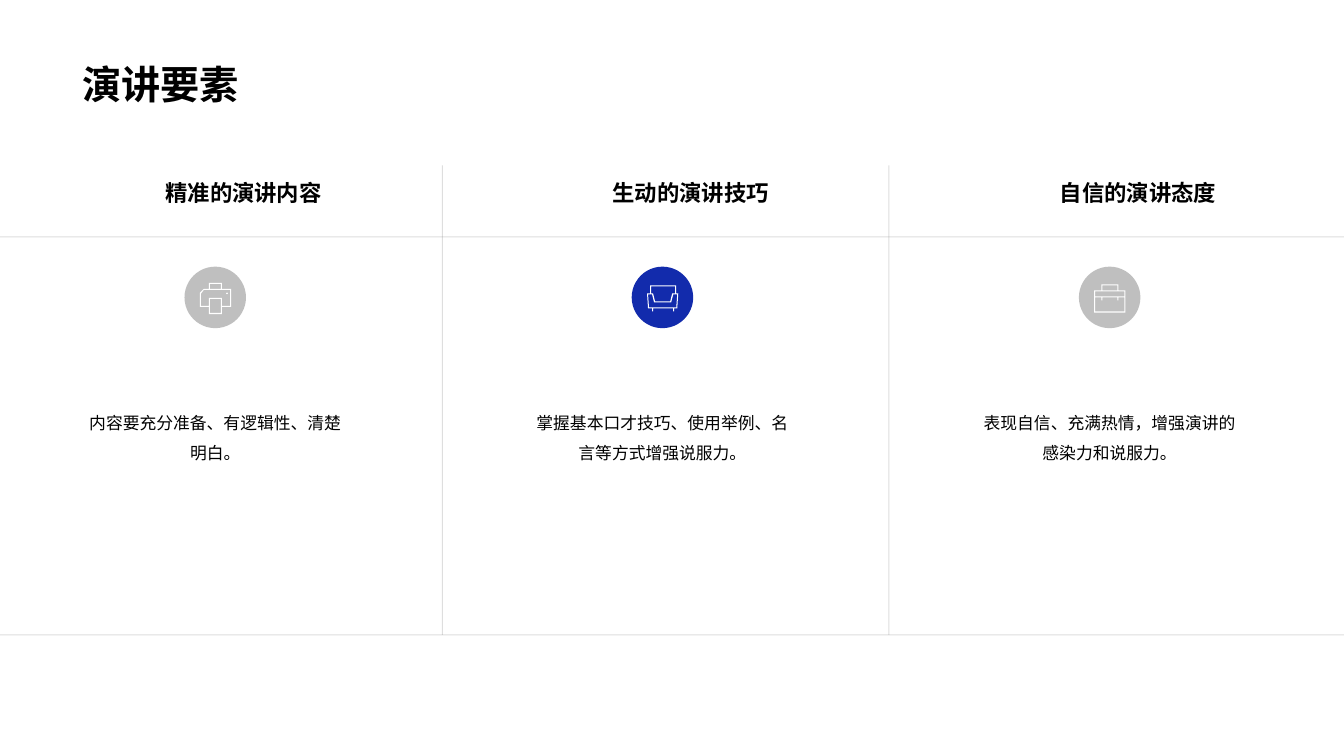
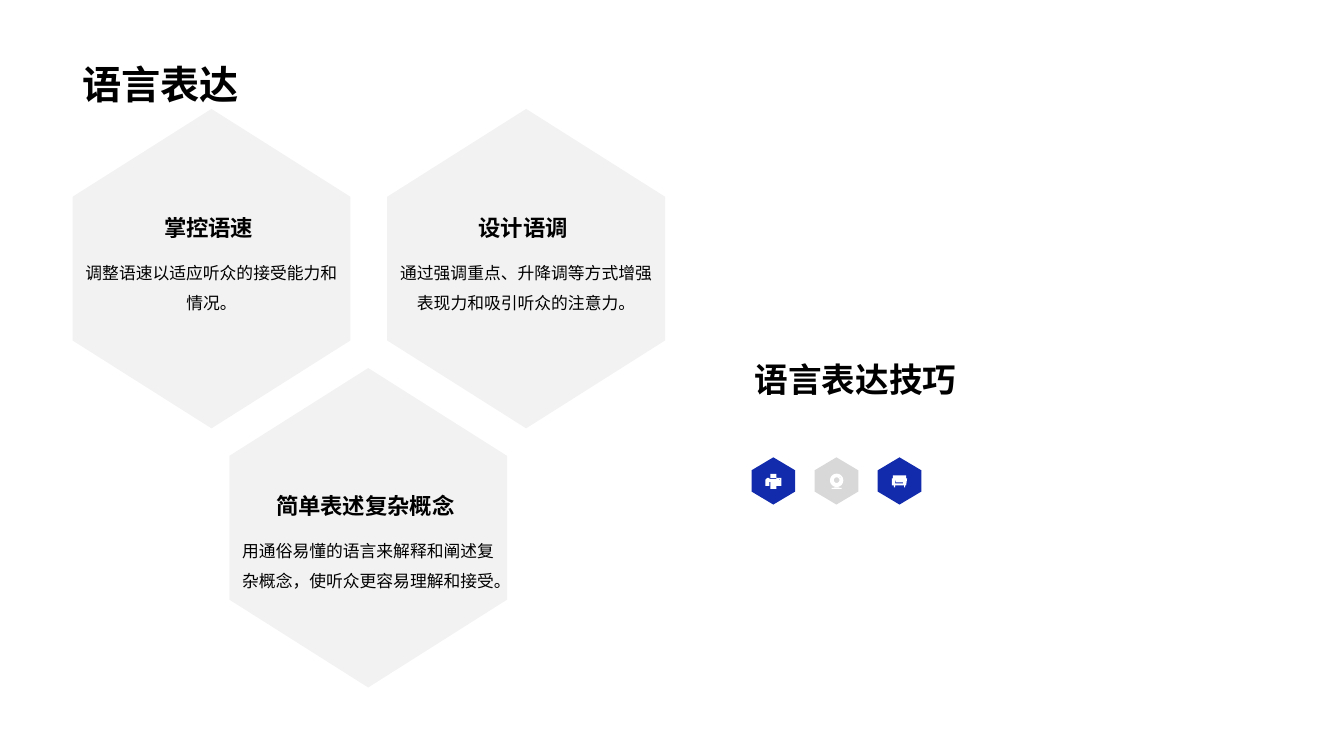
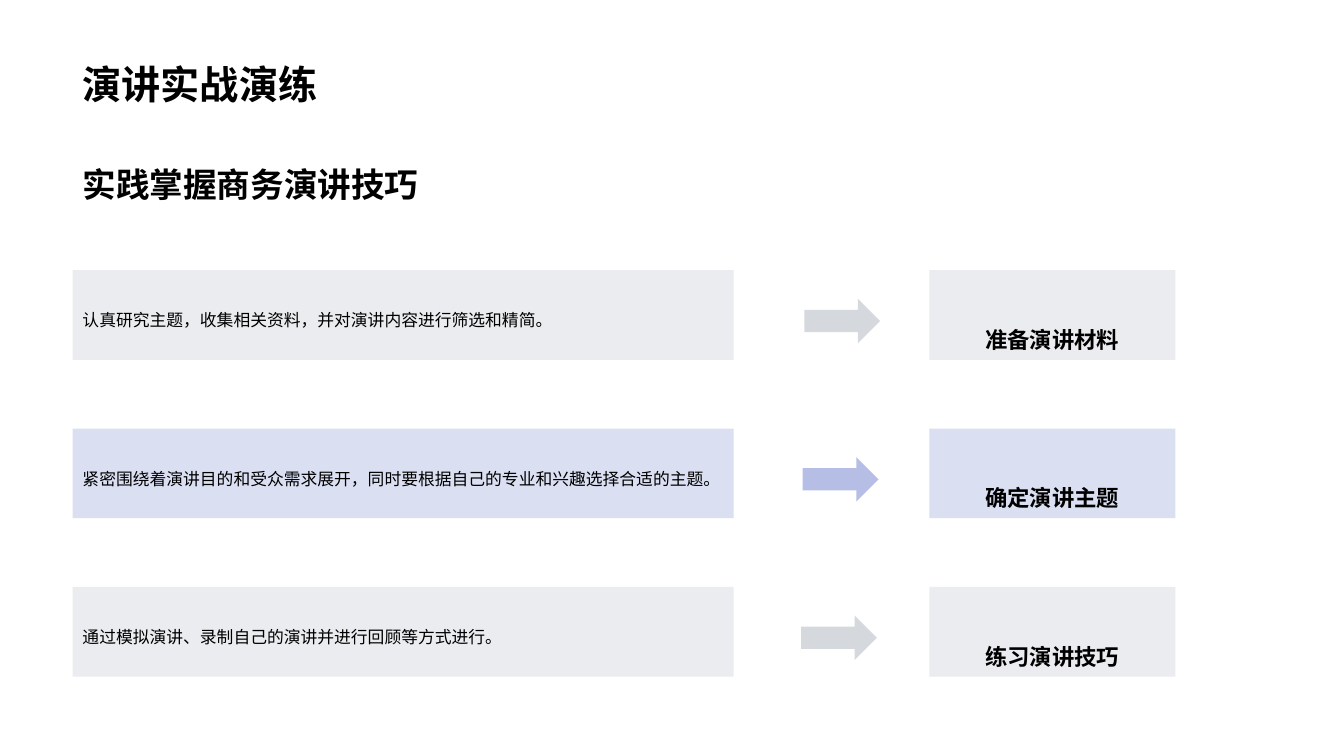
"""Build three slides on business speaking: elements, language and practice."""
import math

import lxml.etree
import pptx
import pptx.dml.color
import pptx.enum.shapes
import pptx.enum.text
import pptx.oxml.ns
import pptx.util

Cm = pptx.util.Cm
qn = pptx.oxml.ns.qn
SHAPES = pptx.enum.shapes.MSO_SHAPE
ANCHOR = pptx.enum.text.MSO_ANCHOR
ALIGN = pptx.enum.text.PP_ALIGN

BLUE, SLATE, BLACK, WHITE = "122BAC", "778495", "000000", "FFFFFF"
SILVER, PALE, RULE = "BFBFBF", "D8D8D8", "808080"
FONT = "Arial"
WIDTH, HEIGHT, MARGIN = 33.87, 19.05, 1.83
HEADING = {"size": 16, "bold": True}
SUBTITLE = {"size": 24, "bold": True, "anchor": ANCHOR.MIDDLE}
BODY = {"size": 12, "spacing": 1.5}
ICON_UNIT = Cm(0.01).cm * 2.54


def dot(x, y, radius):
    return [(x + radius * math.cos(math.tau * i / 32), y + radius * math.sin(math.tau * i / 32))
            for i in range(32)]


PRINTER = [
    [(22, 0), (22, 6), (31, 6), (31, 24), (22, 24), (22, 31), (9, 31), (9, 24),
     (0, 24), (0, 10), (4, 6), (9, 6), (9, 0)],
    [(21, 16), (10, 16), (10, 30), (21, 30)],
    [(30, 7), (4, 7), (1, 11), (1, 23), (9, 23), (9, 15), (22, 15), (22, 23), (30, 23)],
    dot(27, 10.5, 0.8),
    [(21, 1), (10, 1), (10, 6), (21, 6)],
]
SOFA = [
    [(29, 0), (29, 8), (31, 8), (30, 23), (27, 23), (27, 26), (26, 26), (26, 23),
     (6, 23), (6, 26), (5, 26), (5, 23), (1, 23), (0, 8), (3, 8), (3, 0)],
    [(5, 9), (1, 9), (2, 22), (29, 22), (30, 9), (26, 9), (24, 17), (7, 17)],
    [(28, 1), (4, 1), (4, 8), (6, 8), (8, 16), (23, 16), (25, 8), (28, 8)],
]
BRIEFCASE = [
    [(24, 0), (24, 6), (31, 6), (31, 28), (0, 28), (0, 6), (7, 6), (7, 0)],
    [(7, 13), (1, 13), (1, 27), (30, 27), (30, 13), (24, 13), (24, 16), (23, 16),
     (23, 13), (8, 13), (8, 16), (7, 16)],
    [(30, 7), (1, 7), (1, 12), (30, 12)],
    [(23, 1), (8, 1), (8, 6), (23, 6)],
]
SMALL_PRINTER = [
    [(11, 8), (11, 15), (5, 15), (5, 8)],
    [(4, 4), (4, 5), (11, 5), (11, 4), (16, 4), (16, 12), (11, 12), (11, 8),
     (4, 8), (4, 12), (0, 12), (0, 6), (2, 4)],
    dot(14, 5.5, 0.5),
    [(11, 0), (11, 4), (5, 4), (5, 0)],
]
SMALL_CAMERA = [
    dot(7, 6.5, 6.6),
    dot(7, 6.3, 2.8),
    dot(10.4, 3.4, 0.5),
    [(5, 13.5), (9, 13.5), (10, 14), (12, 14), (12, 15), (2, 15), (2, 14), (4, 14)],
]
SMALL_SOFA = [
    [(3, 3), (3, 8), (11, 8), (12, 3), (15, 3), (14, 10), (13, 10), (13, 12),
     (12, 12), (12, 10), (3, 10), (3, 12), (2, 12), (2, 10), (0, 10), (0, 3)],
    [(14, 0), (14, 3), (12, 3), (11, 7), (4, 7), (3, 3), (1, 3), (1, 0)],
]


def paint(fill, color, owner=None, opacity=100):
    fill.solid()
    fill.fore_color.rgb = pptx.dml.color.RGBColor.from_string(color)
    if opacity < 100:
        for tint in owner.element.spPr.findall(".//" + qn("a:srgbClr")):
            lxml.etree.SubElement(tint, qn("a:alpha"), val=str(opacity * 1000))


def finish(shape, color, opacity=100):
    shape.shadow.inherit = False
    paint(shape.fill, color, shape, opacity)
    shape.line.fill.background()
    return shape


def write(shape, text, size=12, bold=False, align=ALIGN.LEFT, anchor=ANCHOR.TOP,
          spacing=1.0, wrap=True, insets=None):
    frame = shape.text_frame
    frame.word_wrap = wrap
    frame.vertical_anchor = anchor
    if insets:
        frame.margin_top, frame.margin_bottom = (Cm(inset) for inset in insets)
    paragraph = frame.paragraphs[0]
    paragraph.alignment = align
    paragraph.line_spacing = spacing
    run = paragraph.add_run()
    run.text = text
    run.font.name, run.font.size, run.font.bold = FONT, pptx.util.Pt(size), bold
    paint(run.font.fill, BLACK)


def add_text(slide, box, text, **style):
    write(slide.shapes.add_textbox(*map(Cm, box)), text, **style)


def add_block(slide, preset, box, color, opacity=100):
    return finish(slide.shapes.add_shape(preset, *map(Cm, box)), color, opacity)


def add_rule(slide, *ends):
    rule = slide.shapes.add_connector(pptx.enum.shapes.MSO_CONNECTOR.STRAIGHT, *map(Cm, ends))
    rule.line.width = pptx.util.Pt(0.75)
    paint(rule.line.fill, RULE, rule, 25)
    lxml.etree.SubElement(rule.element.spPr, qn("a:effectLst"))


def add_outline(slide, contours, color, opacity=100):
    placed = [[(Cm(x), Cm(y)) for x, y in contour] for contour in contours]
    builder = slide.shapes.build_freeform(*placed[0][0], scale=1.0)
    builder.add_line_segments(placed[0][1:], close=True)
    for contour in placed[1:]:
        builder.move_to(*contour[0])
        builder.add_line_segments(contour[1:], close=True)
    finish(builder.convert_to_shape(), color, opacity)


def add_icon(slide, contours, center_x, center_y):
    points = [point for contour in contours for point in contour]
    left = center_x - max(x for x, y in points) * ICON_UNIT / 2
    top = center_y - max(y for x, y in points) * ICON_UNIT / 2
    add_outline(slide, [[(left + x * ICON_UNIT, top + y * ICON_UNIT) for x, y in contour]
                        for contour in contours], WHITE)


def add_hexagon(slide, x, y, width, height, color, opacity=100):
    half, tip, shoulder = width / 2, height / 2, height * 0.45 / 2
    add_outline(slide, [[(x, y - tip), (x + half, y - shoulder), (x + half, y + shoulder),
                         (x, y + tip), (x - half, y + shoulder), (x - half, y - shoulder)]],
                color, opacity)


def add_titled_slide(deck, title):
    slide = deck.slides.add_slide(deck.slide_layouts[6])
    add_text(slide, (MARGIN, 0, 30.18, 2.84), title, size=28, bold=True,
             anchor=ANCHOR.BOTTOM, spacing=0.9)
    return slide


def build_elements(deck):
    slide = add_titled_slide(deck, "演讲要素")
    for y in (5.97, 16):
        add_rule(slide, 0, y, WIDTH, y)
    for x in (11.15, 22.4):
        add_rule(slide, x, 4.17, x, 16)
    columns = [
        ("精准的演讲内容", "内容要充分准备、有逻辑性、清楚明白。", SILVER, PRINTER),
        ("生动的演讲技巧", "掌握基本口才技巧、使用举例、名言等方式增强说服力。", BLUE, SOFA),
        ("自信的演讲态度", "表现自信、充满热情，增强演讲的感染力和说服力。", SILVER, BRIEFCASE),
    ]
    for index, (heading, detail, color, icon) in enumerate(columns):
        shift = index * 11.27
        add_text(slide, (3.92 + shift, 4.38, 4.5, 0.94), heading, anchor=ANCHOR.MIDDLE,
                 wrap=False, **HEADING)
        add_block(slide, SHAPES.OVAL, (4.65 + shift, 6.72, 1.55, 1.55), color)
        add_icon(slide, icon, 5.43 + shift, 7.52)
        add_text(slide, (1.87 + shift, 10.02, 7.11, 1.7), detail, align=ALIGN.CENTER, **BODY)


def build_language(deck):
    slide = add_titled_slide(deck, "语言表达")
    width = 7
    cells = [
        (5.33, 6.77, 5.26, "掌控语速", "调整语速以适应听众的接受能力和情况。"),
        (13.26, 6.77, 5.26, "设计语调", "通过强调重点、升降调等方式增强表现力和吸引听众的注意力。"),
        (9.28, 13.3, 12.27, "简单表述复杂概念",
         "用通俗易懂的语言来解释和阐述复杂概念，使听众更容易理解和接受。"),
    ]
    for x, y, top, heading, detail in cells:
        left = x - width / 2
        add_hexagon(slide, x, y, width, 8.05, BLACK, 5)
        add_text(slide, (left - 0.07, top, width, 0.94), heading, align=ALIGN.CENTER, **HEADING)
        add_text(slide, (left, top + 0.98, width, 1.7), detail, align=ALIGN.CENTER, **BODY)
    add_text(slide, (18.77, 8.9, 11.94, 1.28), "语言表达技巧", **SUBTITLE)
    badges = [(BLUE, SMALL_PRINTER), (PALE, SMALL_CAMERA), (BLUE, SMALL_SOFA)]
    for index, (color, icon) in enumerate(badges):
        x = 19.49 + index * 1.59
        add_hexagon(slide, x, 12.12, 1.1, 1.19, color)
        add_icon(slide, icon, x, 12.13)


def build_practice(deck):
    slide = add_titled_slide(deck, "演讲实战演练")
    add_text(slide, (MARGIN, 3.99, 18.03, 1.28), "实践掌握商务演讲技巧", **SUBTITLE)
    steps = [
        ("准备演讲材料", "认真研究主题，收集相关资料，并对演讲内容进行筛选和精简。", SLATE),
        ("确定演讲主题", "紧密围绕着演讲目的和受众需求展开，同时要根据自己的专业和兴趣选择合适的主题。", BLUE),
        ("练习演讲技巧", "通过模拟演讲、录制自己的演讲并进行回顾等方式进行。", SLATE),
    ]
    for index, (heading, detail, color) in enumerate(steps):
        top = 6.81 + index * 3.99
        advice = add_block(slide, SHAPES.RECTANGLE, (MARGIN, top, 16.66, 2.26), color, 15)
        write(advice, detail, anchor=ANCHOR.MIDDLE, insets=(0, 0), **BODY)
        add_block(slide, SHAPES.RIGHT_ARROW, (20.27 - index * 0.04, top + 0.72, 1.91, 1.12),
                  color, 30)
        goal = add_block(slide, SHAPES.RECTANGLE, (23.42, top, 6.2, 2.26), color, 15)
        write(goal, heading, align=ALIGN.CENTER, anchor=ANCHOR.MIDDLE, spacing=1.5,
              wrap=False, insets=(0.89, 0), **HEADING)


def main():
    deck = pptx.Presentation()
    deck.slide_width, deck.slide_height = Cm(WIDTH), Cm(HEIGHT)
    build_elements(deck)
    build_language(deck)
    build_practice(deck)
    deck.save("out.pptx")


if __name__ == "__main__":
    main()
